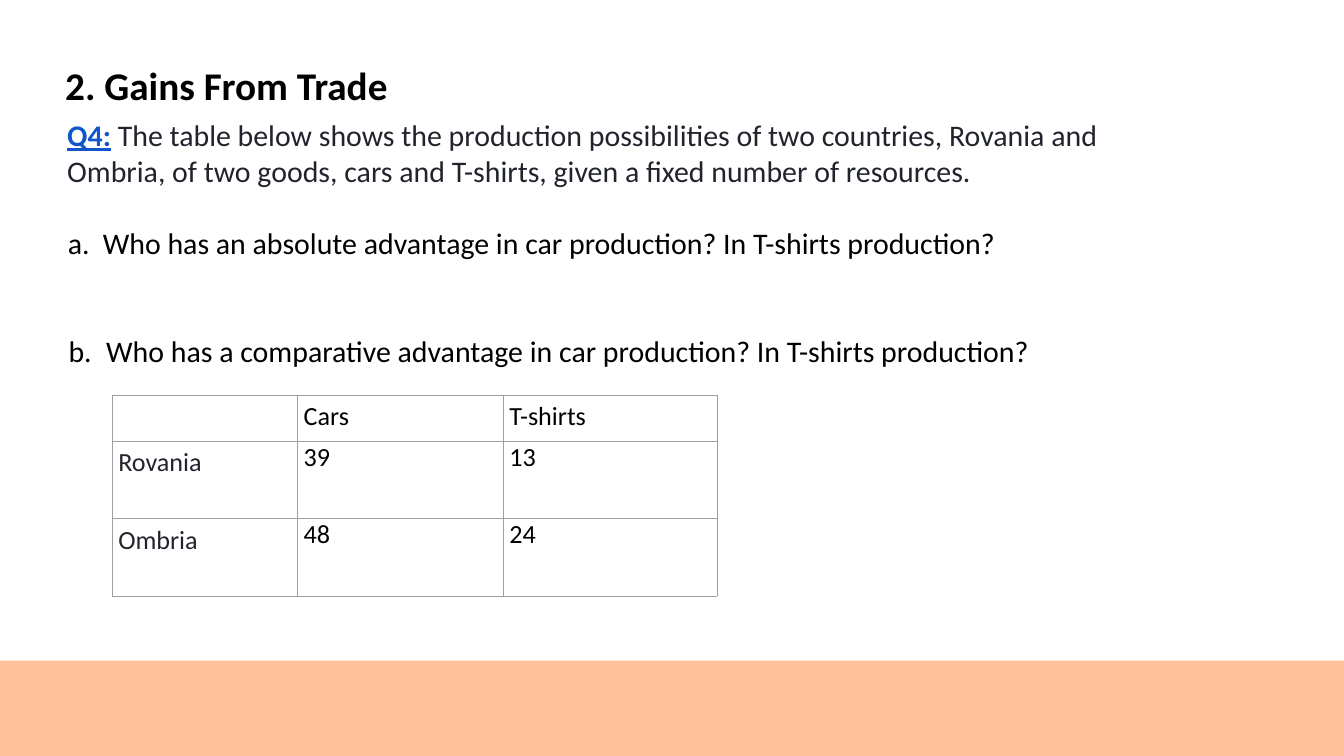
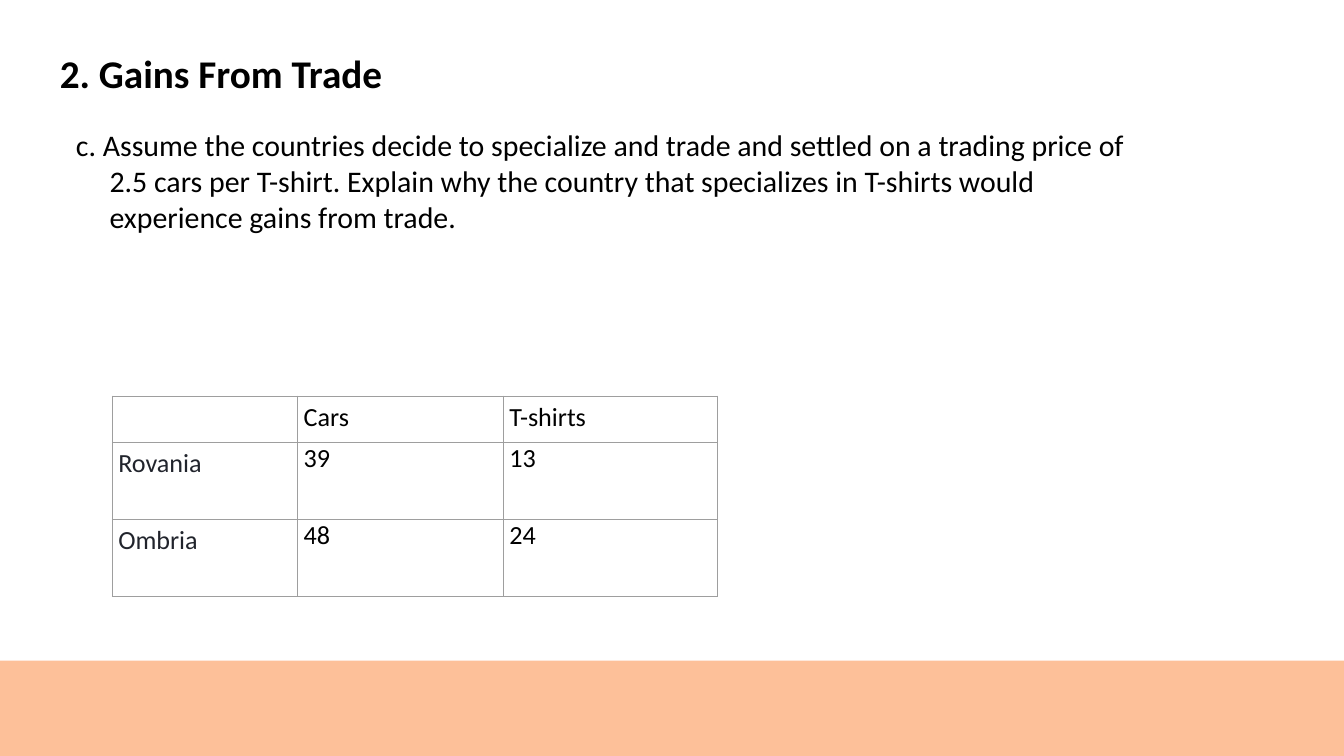
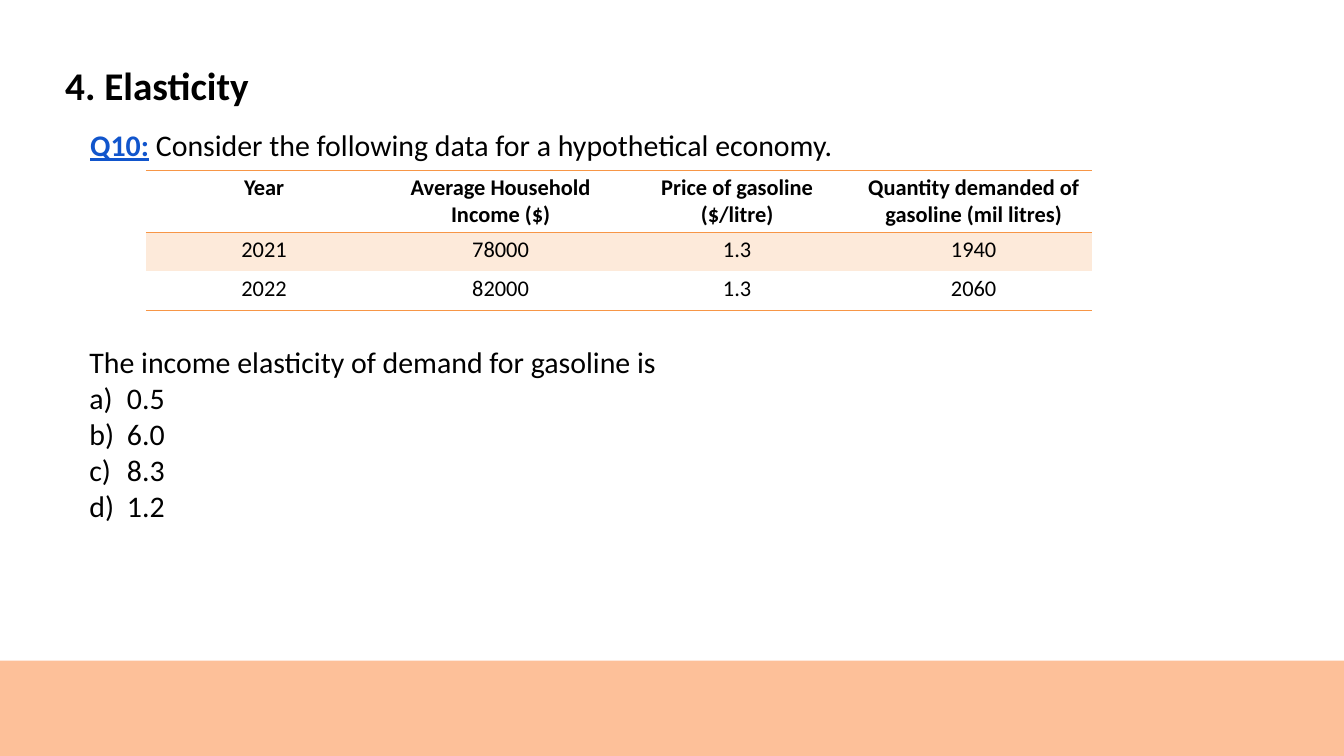
from pptx import Presentation
from pptx.dml.color import RGBColor
from pptx.enum.shapes import MSO_SHAPE as Shape
from pptx.enum.text import PP_ALIGN as Align
from pptx.util import Inches, Pt
from lxml.etree import SubElement as Sub
from pptx.oxml.ns import qn

# Slide size, square grid of 20 columns, and shared style
W, H = Inches(20), Inches(11.25)
UNIT = W // 20
FONT = "Calibri"
BLACK, INK, BLUE = "000000", "21242C", "1155CC"
PEACH, GREY, ORANGE, TINT = "FDC099", "9E9E9E", "F79646", "FDEADA"
LEFT, MID = Align.LEFT, Align.CENTER
rgb = RGBColor.from_string


def write(frame, text, size=32, color=BLACK, bold=False, tag="", gap=0,
          left=0, hang=0, num="", align=LEFT):
    """Add one paragraph per line of text; tag is a blue lead-in."""
    for line in text.split("\n"):
        para = frame.paragraphs[-1]
        if para.runs:
            para = frame.add_paragraph()
        para.alignment = align
        props = para._p.get_or_add_pPr()
        props.set("marL", str(int(left * UNIT)))
        props.set("indent", str(int(-hang * UNIT)))
        if gap:
            para.space_before = Pt(gap)
        if num:
            Sub(props, qn("a:buFont"), typeface="+mj-lt")
            Sub(props, qn("a:buAutoNum"), type=num)
        for part in filter(None, (tag, line)):
            run = para.add_run()
            run.text = part
            font = run.font
            font.name, font.size = FONT, Pt(size)
            lead = part == tag
            font.bold, font.underline = bold or lead, lead
            font.color.rgb = rgb(BLUE if lead else color)


def rule(cell, sides, color, width):
    """Draw the named cell edges and clear the others."""
    props = cell._tc.get_or_add_tcPr()
    for side in "LRTB":
        line = Sub(props, qn("a:ln" + side), w=str(Pt(width)))
        if side in sides:
            fill = Sub(line, qn("a:solidFill"))
            Sub(fill, qn("a:srgbClr"), val=color)
        else:
            Sub(line, qn("a:noFill"))


# Each slide: title, title box, title inset and indent, body box, table box
WIDE = (0.79, 0.49, 16.71, 1.22)
TRADE = [["", "Cars", "T-shirts"], ["Rovania", "39", "13"],
         ["Ombria", "48", "24"]]
GAS = [["Year", "Average Household Income ($)",
        "Price of gasoline\n($/litre)",
        "Quantity demanded of gasoline (mil litres)"],
       ["2021", "78000", "1.3", "1940"], ["2022", "82000", "1.3", "2060"]]
PLAN = [
    ("2. Gains From Trade", WIDE, 0.42, 0.18, (1, 1.73, 16.86, 4.86),
     TRADE, (1.67, 5.88)),
    ("2. Gains From Trade", (0.88, 0.72, 4.82, 0.73), 0.01, 0.01,
     (1.12, 1.88, 16.25, 2.18), TRADE, (1.67, 5.89)),
    ("4. Elasticity", WIDE, 0.42, 0.18, (1.33, 1.88, 16.71, 5.98),
     GAS, (2.17, 2.54)),
]

deck = Presentation()
deck.slide_width, deck.slide_height = W, H
bodies = []

for title, head, inset, left, body, data, (x, y) in PLAN:
    slide = deck.slides.add_slide(deck.slide_layouts[6])
    shapes = slide.shapes

    # Bottom band
    top = int(9.83 * UNIT)
    band = shapes.add_shape(Shape.RECTANGLE, 0, top, W, H - top)
    band.shadow.inherit = False
    band.fill.solid()
    band.fill.fore_color.rgb = rgb(PEACH)
    band.line.fill.background()

    # Title and body boxes
    frames = []
    for spot, pad in ((head, inset), (body, 0.01)):
        frame = shapes.add_textbox(*[int(n * UNIT) for n in spot]).text_frame
        frame.word_wrap = True
        frame.margin_left = frame.margin_right = frame.margin_bottom = 0
        frame.margin_top = int(pad * UNIT)
        frames.append(frame)
    write(frames[0], title, size=42, bold=True, left=left)
    bodies.append(frames[1])

    # Table
    trade = data is TRADE
    cols = [2.76, 3.06, 3.18] if trade else [3.52] * 4
    rows = [0.69, 1.15, 1.15] if trade else [0.92, 0.58, 0.58]
    spot = [int(n * UNIT) for n in (x, y, sum(cols), sum(rows))]
    table = shapes.add_table(len(rows), len(cols), *spot).table
    table.first_row = table.horz_banding = False
    for col, width in zip(table.columns, cols):
        col.width = int(width * UNIT)
    for r, (row, tall) in enumerate(zip(table.rows, rows)):
        row.height = int(tall * UNIT)
        for c, cell in enumerate(row.cells):
            text = data[r][c]
            if trade:
                label = r == 0 or c == 0
                cell.margin_left = int(0.09 * UNIT)
                cell.margin_right = cell.margin_bottom = 0
                cell.margin_top = int(0.08 * UNIT) if label else 0
                rule(cell, "LRTB", GREY, 0.75)
                style = dict(size=28, color=BLACK if c else INK)
            else:
                rule(cell, ("TB", "T", "B")[r], ORANGE, 1)
                style = dict(size=24, bold=r == 0, align=MID)
            if r == 1 and not trade:
                cell.fill.solid()
                cell.fill.fore_color.rgb = rgb(TINT)
            else:
                cell.fill.background()
            if text:
                write(cell.text_frame, text, **style)

# Body texts
gains, price, demand = bodies
write(gains, " The table below shows the production possibilities of two "
      "countries, Rovania and Ombria, of two goods, cars and T-shirts, "
      "given a fixed number of resources.", tag="Q4:", color=INK)
write(gains, "Who has an absolute advantage in car production? "
      "In T-shirts production?", gap=39, left=0.53, hang=0.52,
      num="alphaLcPeriod")
write(gains, "Who has a comparative advantage in car production? "
      "In T-shirts production?", gap=77, left=0.58, hang=0.56,
      num="alphaLcPeriod")

write(price, "c. Assume the countries decide to specialize and trade and "
      "settled on a trading price of 2.5 cars per T-shirt. Explain why the "
      "country that specializes in T-shirts would experience gains from "
      "trade.", left=0.51, hang=0.5)

write(demand, " Consider the following data for a hypothetical economy.",
      tag="Q10:", left=0.01)
write(demand, "The income elasticity of demand for gasoline is", gap=194)
write(demand, "0.5\n6.0\n8.3\n1.2", left=0.56, hang=0.56,
      num="alphaLcParenR")

deck.save("out.pptx")
